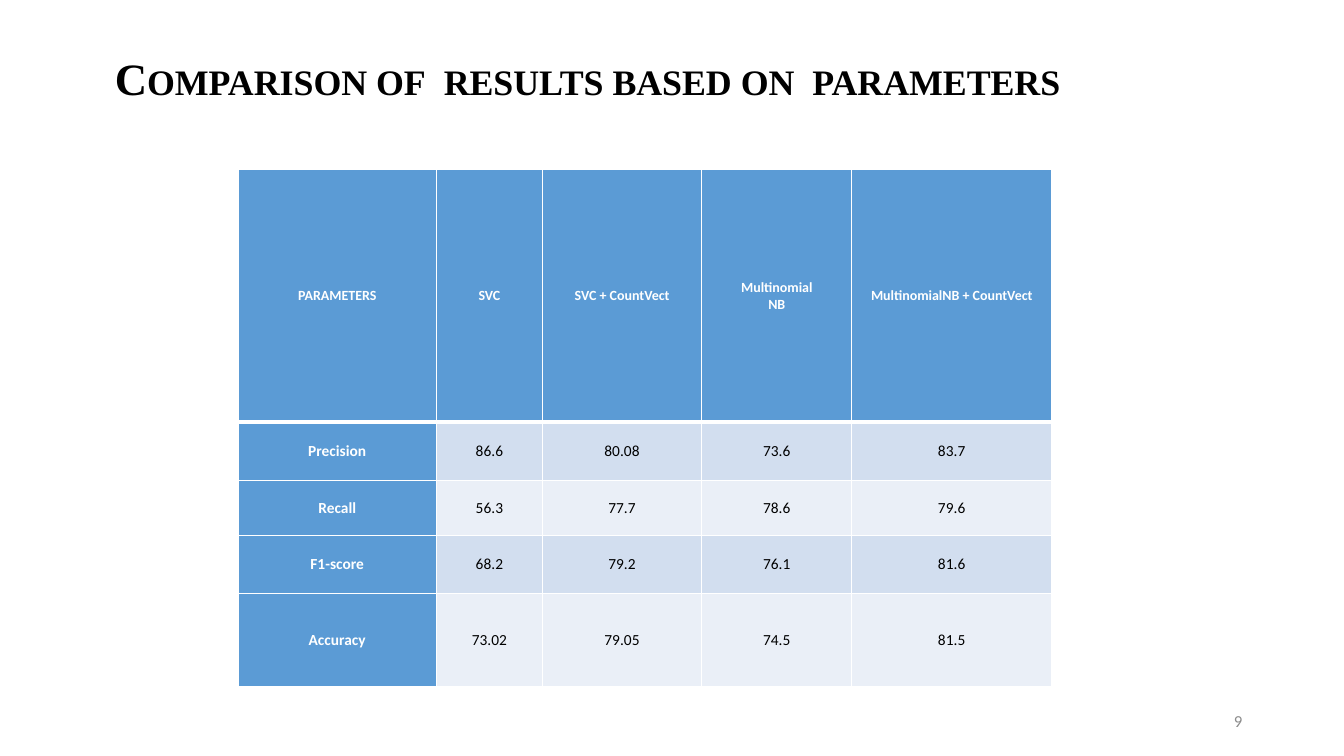
from pptx import Presentation
from pptx.dml.color import RGBColor
from pptx.enum.text import MSO_ANCHOR as Anchor, PP_ALIGN as Align
from pptx.oxml.ns import qn
from pptx.util import Inches, Pt
from lxml.etree import Element, SubElement

BLACK = RGBColor(0x00, 0x00, 0x00)
WHITE = RGBColor(0xFF, 0xFF, 0xFF)
GREY = RGBColor(0x8C, 0x8C, 0x8C)
BLUE = RGBColor(0x5B, 0x9B, 0xD5)
BANDS = (RGBColor(0xD2, 0xDE, 0xEF), RGBColor(0xEA, 0xEF, 0xF7))

COLUMN_WIDTHS = (1.97, 1.05, 1.58, 1.49, 1.98)
ROW_HEIGHTS = (2.51, 0.58, 0.54, 0.58, 0.92)
RESULTS = (
    ("PARAMETERS", "SVC", "SVC + CountVect", "Multinomial\nNB", "MultinomialNB + CountVect"),
    ("Precision", "86.6", "80.08", "73.6", "83.7"),
    ("Recall", "56.3", "77.7", "78.6", "79.6"),
    ("F1-score", "68.2", "79.2", "76.1", "81.6"),
    ("Accuracy", "73.02", "79.05", "74.5", "81.5"),
)


def add_text(para, text, size, color, bold=False, face="Calibri", align=Align.CENTER):
    """Add one formatted run to a paragraph and return it."""
    para.alignment = align
    run = para.add_run()
    run.text = text
    run.font.size = Pt(size)
    run.font.name = face
    run.font.bold = bold
    run.font.color.rgb = color
    return run


def add_frame(page, box, anchor):
    """Add a wrapping text box and return its text frame."""
    frame = page.shapes.add_textbox(*map(Inches, box)).text_frame
    frame.word_wrap = True
    frame.vertical_anchor = anchor
    return frame


def add_title(page, box):
    """Place the title in small capitals."""
    para = add_frame(page, box, Anchor.TOP).paragraphs[0]
    run = add_text(para, "Comparison of  results based on  parameters", 32, BLACK,
                   True, "Times New Roman", Align.LEFT)
    run.font._element.set("cap", "small")


def add_page_number(page, box):
    """Place the page number at the right of its box."""
    para = add_frame(page, box, Anchor.MIDDLE).paragraphs[0]
    add_text(para, "9", 12, GREY, align=Align.RIGHT)


def add_borders(cell, top, bottom):
    """Draw white borders around a cell, with the given top and bottom widths."""
    properties = cell._tc.get_or_add_tcPr()
    widths = {"a:lnL": 1, "a:lnR": 1, "a:lnT": top, "a:lnB": bottom}
    for place, (side, width) in enumerate(widths.items()):
        line = Element(qn(side), w=str(Pt(width)))
        fill = SubElement(line, qn("a:solidFill"))
        SubElement(fill, qn("a:srgbClr"), val=str(WHITE))
        properties.insert(place, line)


def fill_cell(cell, text, row, column):
    """Write and style one cell according to its row and column."""
    heading = row == 0 or column == 0
    cell.margin_left = cell.margin_right = Inches(0.07)
    cell.margin_top = cell.margin_bottom = 0
    cell.vertical_anchor = Anchor.MIDDLE
    cell.fill.solid()
    cell.fill.fore_color.rgb = BLUE if heading else BANDS[(row - 1) % 2]
    add_borders(cell, 3 if row == 1 else 1, 3 if row == 0 else 1)
    frame = cell.text_frame
    for index, line in enumerate(text.split("\n")):
        para = frame.add_paragraph() if index else frame.paragraphs[0]
        add_text(para, line, 11 if row else 10, WHITE if heading else BLACK, heading)


def add_results(page, box):
    """Place the table of results, sharing the box among rows and columns."""
    left, top, width, height = map(Inches, box)
    table = page.shapes.add_table(len(RESULTS), len(RESULTS[0]), left, top, width, height).table
    for column, share in zip(table.columns, COLUMN_WIDTHS):
        column.width = int(width * share / sum(COLUMN_WIDTHS))
    for row, share in zip(table.rows, ROW_HEIGHTS):
        row.height = int(height * share / sum(ROW_HEIGHTS))
    for row, texts in enumerate(RESULTS):
        for column, text in enumerate(texts):
            fill_cell(table.cell(row, column), text, row, column)


def main():
    """Build the slide and save the deck."""
    deck = Presentation()
    deck.slide_width, deck.slide_height = Inches(13.33), Inches(7.5)
    page = deck.slides.add_slide(deck.slide_layouts[6])
    add_page_number(page, (9.42, 6.95, 3, 0.4))
    add_results(page, (2.36, 1.68, 8.07, 5.13))
    add_title(page, (1.04, 0.45, 10.43, 0.98))
    deck.save("out.pptx")


if __name__ == "__main__":
    main()
